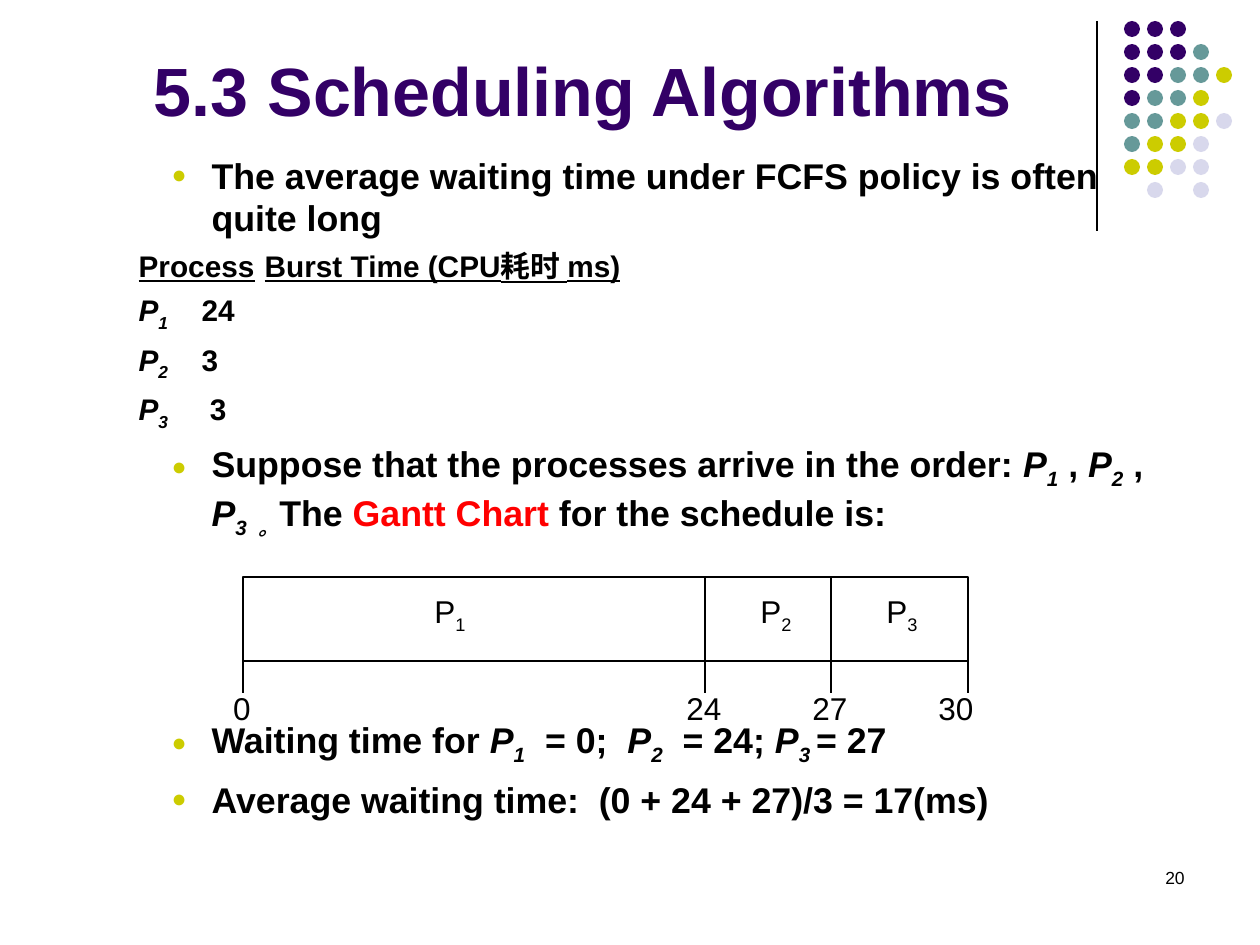
from lxml import etree
from pptx import Presentation
from pptx.dml.color import RGBColor
from pptx.enum.shapes import MSO_CONNECTOR, MSO_SHAPE
from pptx.enum.text import MSO_ANCHOR, MSO_AUTO_SIZE, PP_ALIGN
from pptx.oxml.ns import qn
from pptx.util import Emu, Pt

STRAIGHT = MSO_CONNECTOR.STRAIGHT
OVAL, RECT = MSO_SHAPE.OVAL, MSO_SHAPE.RECTANGLE
MIDDLE, BOTTOM = MSO_ANCHOR.MIDDLE, MSO_ANCHOR.BOTTOM
CENTER, RIGHT, LEFT = PP_ALIGN.CENTER, PP_ALIGN.RIGHT, PP_ALIGN.LEFT
FIXED = MSO_AUTO_SIZE.NONE

FONT = "Arial"
COLORS = {
    "ink": "000000", "paper": "FFFFFF", "accent": "FF0000",
    "purple": "330066", "teal": "669999", "olive": "CCCC00", "mist": "D8D8EC",
}
DOT_COLORS = {"P": "purple", "T": "teal", "O": "olive", "M": "mist"}
DOT_ROWS = ["PPP", "PPPT", "PPTTO", "PTTO", "TTOOM", "TOOM", "OOMM", " M M"]


def px(length):
    return Emu(round(length * 914400 / 126))


def rgb(name):
    return RGBColor.from_string(COLORS[name])


def write(paragraph, text, size=18, color="ink", bold=False, italic=False,
          underline=False, sub=False):
    run = paragraph.add_run()
    run.text = text
    font = run.font
    font.name, font.size, font.color.rgb = FONT, Pt(size), rgb(color)
    font.bold, font.italic, font.underline = bold, italic, underline
    if sub:
        run._r.get_or_add_rPr().set("baseline", "-25000")


def process(subscript):
    return [("P", {"italic": True}), (subscript, {"italic": True, "sub": True})]


class SlideBuilder:
    def __init__(self, slide):
        self.slide = slide
        self.shapes = slide.shapes
        self.line_width = Pt(0.75)

    def place(self, shape, left, top, width, height):
        shape.left, shape.top = px(left), px(top)
        shape.width, shape.height = px(width), px(height)

    def title(self, text, *box):
        heading = self.shapes.title
        self.place(heading, *box)
        frame = heading.text_frame
        frame.auto_size, frame.vertical_anchor = FIXED, BOTTOM
        frame.paragraphs[0].alignment = CENTER
        write(frame.paragraphs[0], text, size=39, color="purple", bold=True)

    def body(self, items, *box):
        outline = self.slide.placeholders[1]
        self.place(outline, *box)
        frame = outline.text_frame
        frame.auto_size = FIXED
        for index, (kind, gap, runs) in enumerate(items):
            paragraph = frame.paragraphs[0] if index == 0 else frame.add_paragraph()
            paragraph.alignment = LEFT
            paragraph.space_before = Pt(gap)
            if kind == "bullet":
                self.bullet(paragraph)
                size = 20.4
            else:
                self.tabs(paragraph, kind)
                size = 17
            for text, look in runs:
                write(paragraph, text, size=size, bold=True, **look)

    def bullet(self, paragraph):
        paragraph.level = 1
        props = paragraph._p.get_or_add_pPr()
        props.set("marL", str(px(136)))
        props.set("indent", str(px(-40)))
        color = etree.SubElement(props, qn("a:buClr"))
        etree.SubElement(color, qn("a:srgbClr"), val=COLORS["olive"])
        etree.SubElement(props, qn("a:buSzPct"), val="70000")
        etree.SubElement(props, qn("a:buFont"), typeface=FONT)
        etree.SubElement(props, qn("a:buChar"), char="●")

    def tabs(self, paragraph, stops):
        paragraph.level = 2
        props = paragraph._p.get_or_add_pPr()
        props.set("marL", "0")
        props.set("indent", "0")
        etree.SubElement(props, qn("a:buNone"))
        stop_list = etree.SubElement(props, qn("a:tabLst"))
        for stop in stops:
            etree.SubElement(stop_list, qn("a:tab"), pos=str(px(stop)), algn="l")

    def shape(self, preset, fill, *box, outlined=False):
        figure = self.shapes.add_shape(preset, *map(px, box))
        figure.shadow.inherit = False
        figure.fill.solid()
        figure.fill.fore_color.rgb = rgb(fill)
        if outlined:
            figure.line.color.rgb = rgb("ink")
            figure.line.width = self.line_width
        else:
            figure.line.fill.background()

    def line(self, x, top, bottom):
        rule = self.shapes.add_connector(STRAIGHT, *map(px, (x, top, x, bottom)))
        rule.line.color.rgb = rgb("ink")
        rule.line.width = self.line_width
        etree.SubElement(rule._element.spPr, qn("a:effectLst"))

    def label(self, runs, *box, align=CENTER, anchor=MIDDLE, size=18, wrap=False):
        frame = self.shapes.add_textbox(*map(px, box)).text_frame
        frame.word_wrap, frame.vertical_anchor = wrap, anchor
        frame.paragraphs[0].alignment = align
        for text, look in runs:
            write(frame.paragraphs[0], text, size=size, **look)


def outline_items():
    underlined = {"underline": True}
    header = [("\t", {}), ("Process", underlined), ("\t", {}),
              ("Burst Time (CPU耗时 ms)", underlined)]
    rows = [((311, 428), 5, [("\t", {}), *process(number), ("\t" + burst, {})])
            for number, burst in (("1", "24"), ("2", "3"), ("3", " 3"))]
    order = [("Suppose that the processes arrive in the order: ", {}),
             *process("1"), (" , ", {}), *process("2"), (" , ", {}),
             *process("3  。"), ("The ", {}), ("Gantt Chart", {"color": "accent"}),
             (" for the schedule is:", {})]
    waiting = [("Waiting time for ", {}), *process("1"), ("  = 0;  ", {}),
               *process("2"), ("  = 24; ", {}), *process("3 "), ("= 27", {})]
    opening = "The average waiting time under FCFS policy is often quite long"
    average = "Average waiting time:  (0 + 24 + 27)/3 = 17(ms)"
    return [("bullet", 6, [(opening, {})]), ((193, 428), 5, header), *rows,
            ("bullet", 6, order), ("bullet", 102, waiting),
            ("bullet", 6, [(average, {})])]


def draw_dots(builder):
    pitch = 23
    for row, codes in enumerate(DOT_ROWS):
        for column, code in enumerate(codes):
            if code in DOT_COLORS:
                builder.shape(OVAL, DOT_COLORS[code], 1124 + column * pitch,
                              21 + row * pitch, 16, 16)


def draw_gantt(builder):
    left, top, right, bottom = 243, 577, 968, 661
    dividers = (705, 831)
    builder.shape(RECT, "paper", left, top, right - left, bottom - top, outlined=True)
    for number, center in (("1", 450), ("2", 776), ("3", 902)):
        builder.label([("P", {}), (number, {"sub": True})], center - 28, 586, 56, 55)
    for x in dividers:
        builder.line(x, top, bottom)
    for x in (left, *dividers, right):
        builder.line(x, bottom, 693)
    for time, center in (("0", 242), ("24", 704), ("27", 830), ("30", 956)):
        builder.label([(time, {})], center - 30, 683, 60, 50)


def main():
    deck = Presentation()
    deck.slide_width, deck.slide_height = px(1260), px(945)
    builder = SlideBuilder(deck.slides.add_slide(deck.slide_layouts[1]))
    builder.line(1097, 21, 231)
    draw_dots(builder)
    builder.title("5.3 Scheduling Algorithms", 63, 16, 1040, 120)
    builder.body(outline_items(), 63, 147, 1134, 698)
    draw_gantt(builder)
    builder.label([("20", {})], 903, 861, 294, 63, align=RIGHT,
                  anchor=MSO_ANCHOR.TOP, size=10, wrap=True)
    deck.save("out.pptx")


if __name__ == "__main__":
    main()
